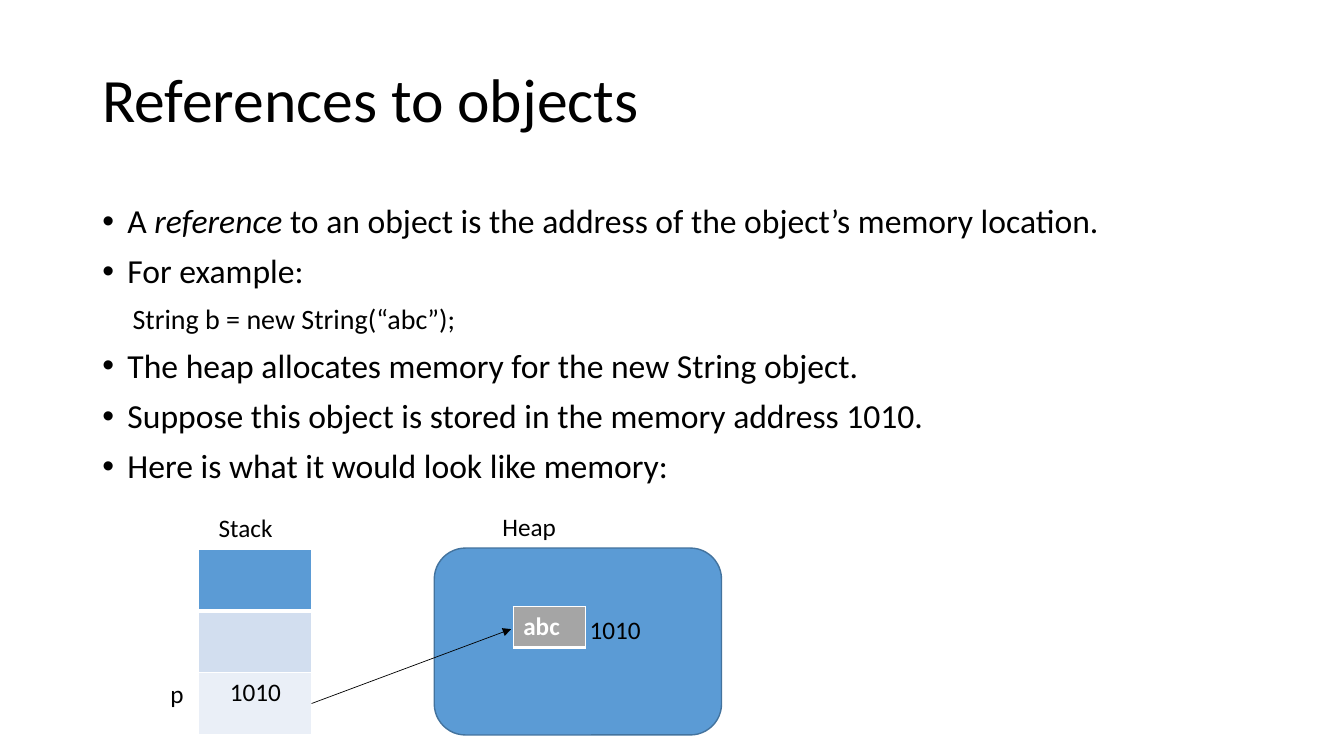
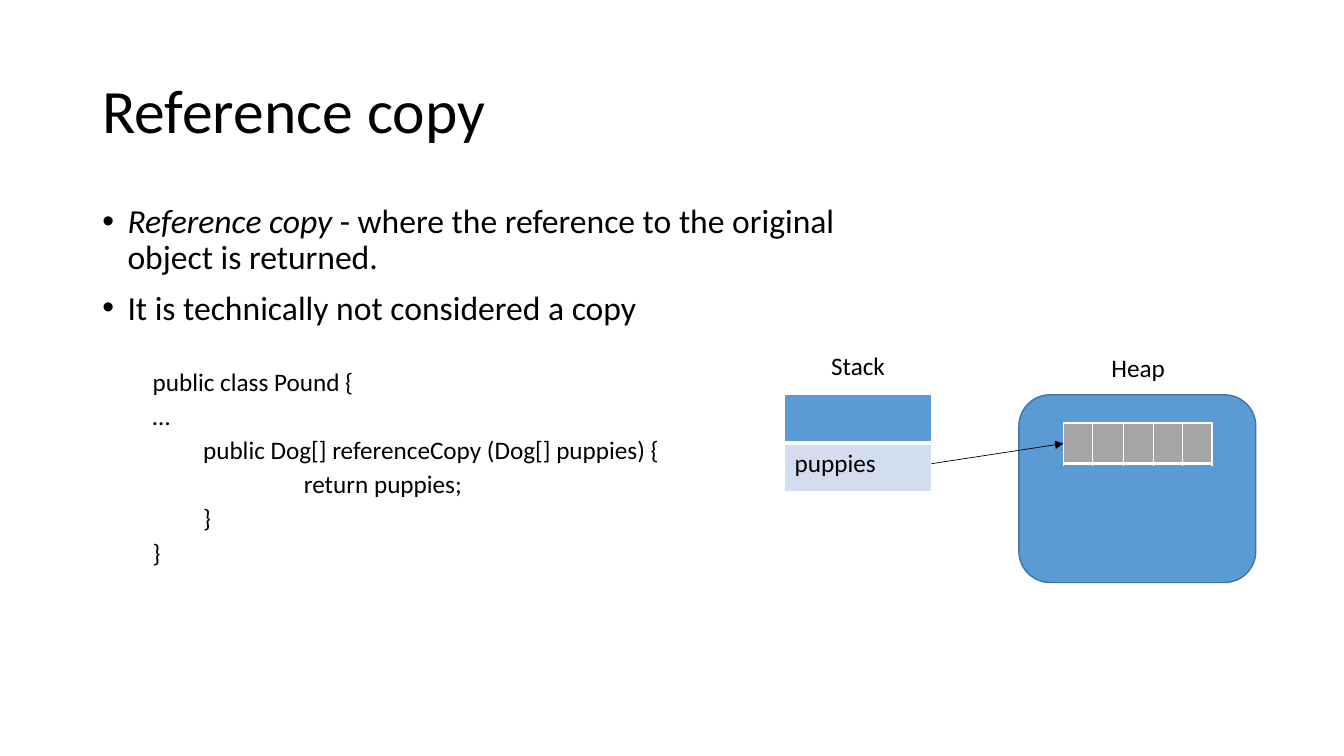
"""Build two slides on object references and reference copies in memory."""
from lxml.etree import SubElement
from pptx import Presentation
from pptx.dml.color import RGBColor
from pptx.enum.shapes import MSO_CONNECTOR, MSO_SHAPE
from pptx.enum.text import MSO_ANCHOR, PP_ALIGN
from pptx.oxml.ns import qn
from pptx.util import Emu, Pt

BLACK = RGBColor(0x00, 0x00, 0x00)
WHITE = RGBColor(0xFF, 0xFF, 0xFF)
BLUE = RGBColor(0x5B, 0x9B, 0xD5)
DARK_BLUE = RGBColor(0x43, 0x73, 0x9E)
PALE_BLUE = RGBColor(0xD2, 0xDE, 0xEF)
FAINT_BLUE = RGBColor(0xEA, 0xEF, 0xF7)
GREY = RGBColor(0xA5, 0xA5, 0xA5)

COLUMNS, ROWS = 160, 90
CELL = 76200


def grid(*counts):
    """Turn counts of grid columns or rows into lengths."""
    return [Emu(round(count * CELL)) for count in counts]


class Deck:
    """Hold the shared style and the slide being filled."""

    font = "Calibri"
    left = 11
    label_width, label_height = 36.5, 4.8

    def __init__(self):
        """Start an empty wide presentation."""
        self.presentation = Presentation()
        width, height = grid(COLUMNS, ROWS)
        self.presentation.slide_width = width
        self.presentation.slide_height = height
        self.slide = None

    def run(self, paragraph, text, size=18, color=BLACK, bold=False, italic=False):
        """Add one styled run to a paragraph."""
        run = paragraph.add_run()
        run.text = text
        run.font.name, run.font.size = self.font, Pt(size)
        run.font.bold, run.font.italic = bold, italic
        run.font.color.rgb = color

    def new_slide(self, heading, top):
        """Add a slide and set its title."""
        self.slide = self.presentation.slides.add_slide(self.presentation.slide_layouts[5])
        title = self.slide.shapes.title
        title.left, title.top, title.width, title.height = grid(self.left, top, 138, 17.4)
        frame = title.text_frame
        frame.vertical_anchor = MSO_ANCHOR.MIDDLE
        paragraph = frame.paragraphs[0]
        paragraph.alignment = PP_ALIGN.LEFT
        paragraph.line_spacing = 0.9
        self.run(paragraph, heading, 44)

    def frame(self, x, y, width, height):
        """Add an empty wrapping text frame."""
        frame = self.slide.shapes.add_textbox(*grid(x, y, width, height)).text_frame
        frame.word_wrap = True
        return frame

    def body(self, width, lines):
        """Add the main text from bullet and code lines."""
        frame = self.frame(self.left, 23.75, width, 57)
        for index, line in enumerate(lines):
            paragraph = frame.add_paragraph() if index else frame.paragraphs[0]
            paragraph.line_spacing = 0.9
            paragraph.space_before = Pt(line["before"])
            properties = paragraph._p.get_or_add_pPr()
            indent, hanging = grid(line["indent"], line["hanging"])
            properties.set("marL", str(indent))
            properties.set("indent", str(-hanging))
            if hanging:
                SubElement(properties, qn("a:buFont"), typeface="Arial")
                SubElement(properties, qn("a:buChar"), char="•")
            for text, italic in line["runs"]:
                self.run(paragraph, text, line["size"], italic=italic)

    def label(self, text, x, y, width=label_width, align=PP_ALIGN.CENTER):
        """Add a one-line caption."""
        paragraph = self.frame(x, y, width, self.label_height).paragraphs[0]
        paragraph.alignment = align
        self.run(paragraph, text)

    def heap(self, x, y, width, height):
        """Add the rounded heap area."""
        area = self.slide.shapes.add_shape(MSO_SHAPE.ROUNDED_RECTANGLE, *grid(x, y, width, height))
        area.shadow.inherit = False
        area.fill.solid()
        area.fill.fore_color.rgb = BLUE
        area.line.color.rgb = DARK_BLUE
        area.line.width = Pt(1)

    def memory(self, x, y, widths, row_height, fills, text="", align=PP_ALIGN.LEFT,
               color=BLACK, bold=False):
        """Add a table of memory cells with any text in its last row."""
        table = self.slide.shapes.add_table(
            len(fills), len(widths), *grid(x, y, sum(widths), row_height * len(fills))).table
        table.first_row = table.horz_banding = False
        for column, width in zip(table.columns, grid(*widths)):
            column.width = width
        for index, fill in enumerate(fills):
            table.rows[index].height = grid(row_height)[0]
            for cell in table.rows[index].cells:
                cell.fill.solid()
                cell.fill.fore_color.rgb = fill
                self.borders(cell, 3 if index == 1 else 1, 1 if index else 3)
        if text:
            paragraph = table.cell(len(fills) - 1, 0).text_frame.paragraphs[0]
            paragraph.alignment = align
            self.run(paragraph, text, color=color, bold=bold)

    def borders(self, cell, top, bottom):
        """Give a table cell white borders."""
        properties = cell._tc.get_or_add_tcPr()
        sides = (("L", 1), ("R", 1), ("T", top), ("B", bottom))
        for position, (side, points) in enumerate(sides):
            border = SubElement(properties, qn("a:ln" + side), w=str(Pt(points)))
            solid = SubElement(border, qn("a:solidFill"))
            SubElement(solid, qn("a:srgbClr"), val=str(WHITE))
            properties.insert(position, border)

    def arrow(self, *ends):
        """Add a thin arrow from a reference to its object."""
        arrow = self.slide.shapes.add_connector(MSO_CONNECTOR.STRAIGHT, *grid(*ends))
        arrow.line.color.rgb = BLACK
        arrow.line.width = Pt(0.5)
        SubElement(arrow.line._get_or_add_ln(), qn("a:tailEnd"), type="triangle")
        SubElement(arrow._element.spPr, qn("a:effectLst"))


def bullet(*runs):
    """Describe a bullet made of (text, italic) runs."""
    return {"runs": runs, "size": 24, "before": 10, "indent": 3, "hanging": 3}


def code(text, indent, size=18, before=5):
    """Describe an indented line of code."""
    return {"runs": [(text, False)], "size": size, "before": before,
            "indent": indent, "hanging": 0}


def references(deck):
    """Fill the slide on references."""
    deck.new_slide("References to objects", 3.5)
    deck.body(138, [
        bullet(("A ", False), ("reference", True),
               (" to an object is the address of the object’s memory location.", False)),
        bullet(("For example:", False)),
        code("String b = new String(“abc”);", 3.6, 20, 10),
        bullet(("The heap allocates memory for the new String object.", False)),
        bullet(("Suppose this object is stored in the memory address 1010.", False)),
        bullet(("Here is what it would look like memory:", False)),
    ])
    deck.label("Stack", 11, 60.4)
    deck.label("Heap", 44.75, 60.25)
    deck.memory(23.65, 65.4, [13.5], 7.35, [BLUE, PALE_BLUE, FAINT_BLUE],
                "1010", PP_ALIGN.CENTER)
    deck.heap(51.7, 65.25, 34.2, 22.25)
    deck.label("p", 19.1, 80.15, 5.5, PP_ALIGN.LEFT)
    deck.arrow(37.1, 83.75, 60.85, 74.9)
    deck.label("1010", 69, 72.5, 10.9, PP_ALIGN.LEFT)
    deck.memory(61.1, 72.2, [8.65], 4.9, [GREY], "abc", color=WHITE, bold=True)


def reference_copy(deck):
    """Fill the slide on the reference copy."""
    deck.new_slide("Reference copy", 4.8)
    deck.body(89.6, [
        bullet(("Reference copy ", True),
               ("- where the reference to the original object is returned.", False)),
        bullet(("It is technically not considered a copy", False)),
        code("public class Pound {", 6, before=30),
        code("…", 6),
        code("public Dog[] referenceCopy (Dog[] puppies) {", 12),
        code("return puppies;", 24),
        code("}", 12),
        code("}", 6),
    ])
    deck.memory(93.4, 47, [17.5], 5.75, [BLUE, PALE_BLUE], "puppies")
    deck.label("Stack", 83.9, 41.15)
    deck.heap(121.3, 47, 28.2, 22.35)
    deck.label("Heap", 117.25, 41.3)
    deck.memory(126.6, 50.35, [3.5, 3.7, 3.5, 3.5, 3.5], 4.85, [GREY])
    deck.arrow(110.9, 55.2, 126.6, 52.8)


def main():
    """Build and save the presentation."""
    deck = Deck()
    references(deck)
    reference_copy(deck)
    deck.presentation.save("out.pptx")


if __name__ == "__main__":
    main()
